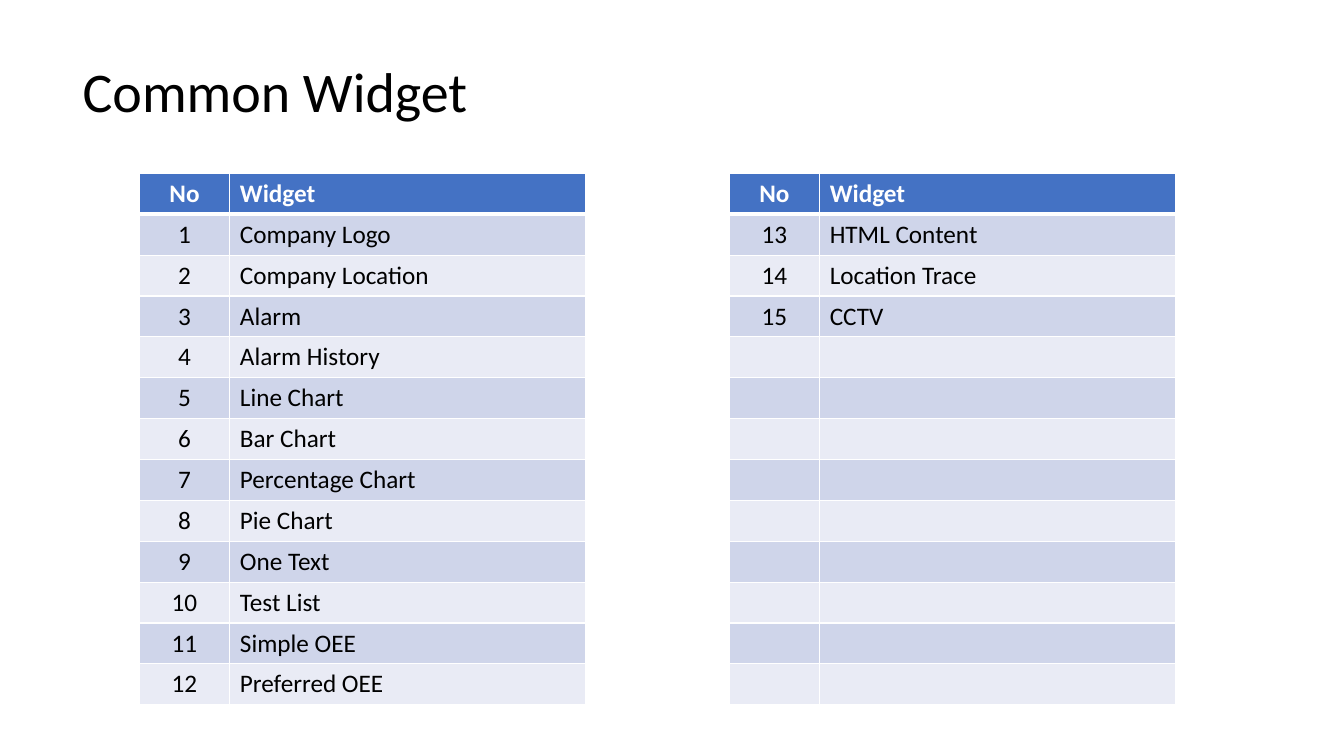
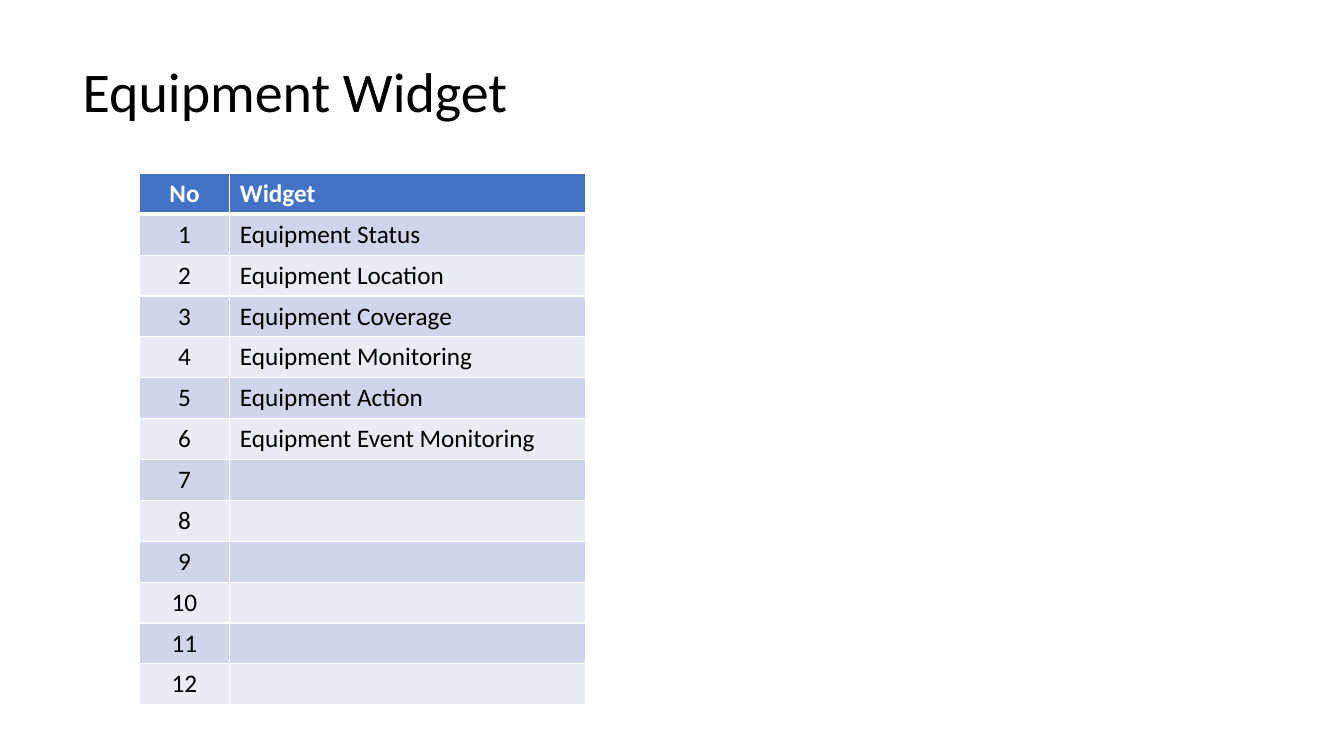
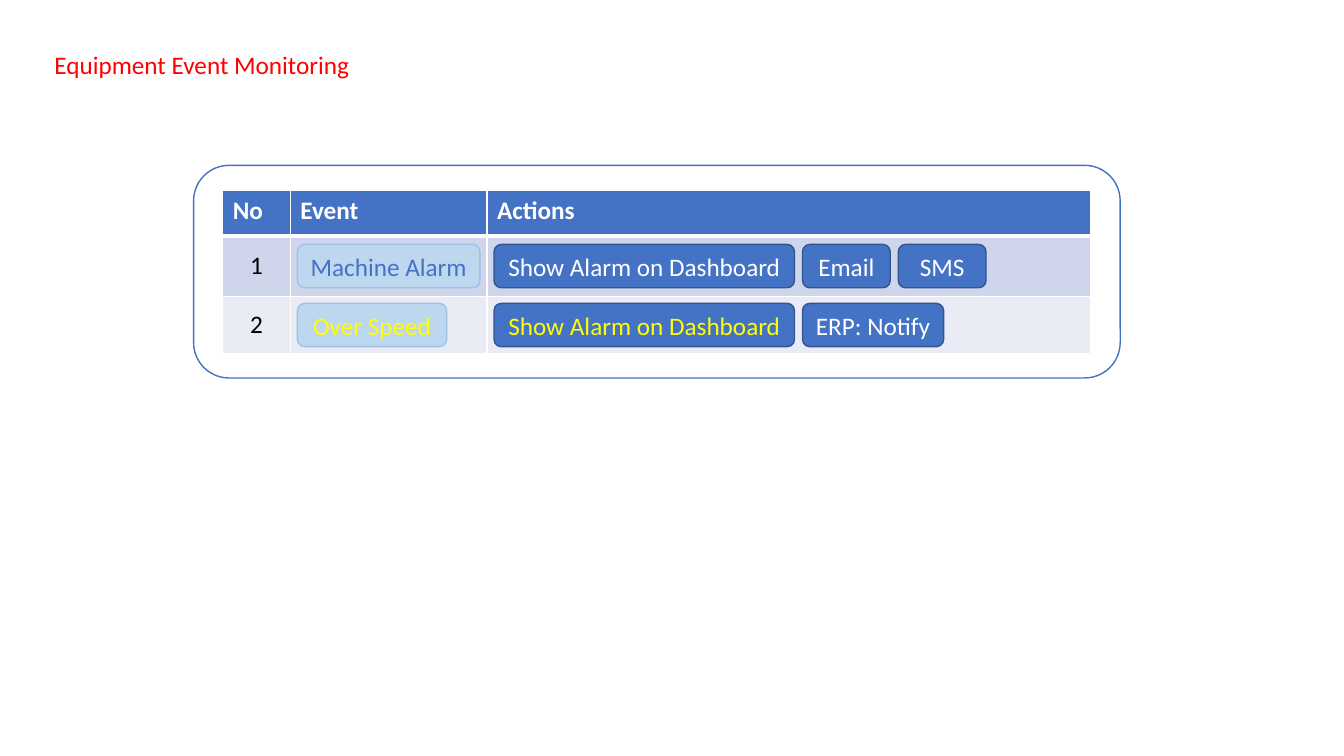
import dataclasses

import lxml.etree
import pptx
import pptx.chart.data
import pptx.dml.color
import pptx.enum.shapes
import pptx.enum.text
import pptx.oxml.ns
import pptx.util

Inches = pptx.util.Inches
ALIGN = pptx.enum.text.PP_ALIGN
ANCHOR = pptx.enum.text.MSO_ANCHOR


@dataclasses.dataclass(frozen=True)
class Theme:
    """Hold the colours, font and type sizes of the deck."""
    font: str = "Calibri"
    title: int = 40
    body: int = 18
    white: str = "FFFFFF"
    black: str = "000000"
    red: str = "FF0000"
    yellow: str = "FFFF00"
    blue: str = "4472C4"
    navy: str = "325491"
    pale: str = "BDD7EE"
    sky: str = "9DC3E6"
    bands: tuple = ("CFD5EA", "E9EBF5")
    thin: int = 1
    thick: int = 3


LOOK = Theme()


def rgb(code):
    """Turn a hex code into a colour."""
    return pptx.dml.color.RGBColor.from_string(code)


def write(frame, text, size=LOOK.body, color=LOOK.black, bold=False,
          align=ALIGN.LEFT, wrap=True):
    """Put formatted text into a text frame."""
    frame.word_wrap = wrap
    line = frame.paragraphs[0]
    line.alignment = align
    run = line.add_run()
    run.text = text
    run.font.name = LOOK.font
    run.font.size = pptx.util.Pt(size)
    run.font.bold = bold
    run.font.color.rgb = rgb(color)


def place(shape, box):
    """Move and size a shape to a box in inches."""
    shape.left, shape.top, shape.width, shape.height = map(Inches, box)


def start(deck, text, box, **style):
    """Add a slide with its title in the given box."""
    slide = deck.slides.add_slide(deck.slide_layouts[5])
    title = slide.shapes.title
    place(title, box)
    title.text_frame.auto_size = pptx.enum.text.MSO_AUTO_SIZE.NONE
    title.text_frame.vertical_anchor = ANCHOR.MIDDLE
    write(title.text_frame, text, wrap=False, **style)
    return slide


def edge(cell, **widths):
    """Draw white borders of the given widths around a cell."""
    props = cell._tc.get_or_add_tcPr()
    name = pptx.oxml.ns.qn
    for spot, side in enumerate("LRTB"):
        width = pptx.util.Pt(widths.get(side, LOOK.thin))
        line = lxml.etree.Element(name(f"a:ln{side}"), w=str(int(width)))
        fill = lxml.etree.SubElement(line, name("a:solidFill"))
        lxml.etree.SubElement(fill, name("a:srgbClr"), val=LOOK.white)
        props.insert(spot, line)


def grid(slide, box, cols, rows, cells, head=ALIGN.CENTER, anchor=ANCHOR.TOP):
    """Draw a banded table whose first column is centred."""
    frame = slide.shapes.add_table(len(rows), len(cols), *map(Inches, box))
    table = frame.table
    for col, width in zip(table.columns, cols):
        col.width = Inches(width)
    for row, height in zip(table.rows, rows):
        row.height = Inches(height)
    for r, texts in enumerate(cells):
        for c, text in enumerate(texts):
            cell = table.cell(r, c)
            cell.fill.solid()
            cell.fill.fore_color.rgb = rgb(LOOK.bands[(r - 1) % 2] if r else LOOK.blue)
            edge(cell, **{0: {"B": LOOK.thick}, 1: {"T": LOOK.thick}}.get(r, {}))
            cell.vertical_anchor = anchor if r else ANCHOR.TOP
            if text:
                first = ALIGN.CENTER if r else head
                write(cell.text_frame, text, bold=r == 0,
                      color=LOOK.black if r else LOOK.white,
                      align=ALIGN.LEFT if c else first)


def listing(slide, left, numbers, names, count=12):
    """Draw a numbered widget list, padded to a fixed row count."""
    box = (left, 1.72, 4.43, 5.27)
    pairs = [(str(n), name) for n, name in zip(numbers, names)]
    pairs += [(str(n), "") for n in numbers[len(names):]]
    pairs += [("", "")] * (count - len(pairs))
    rows = [box[3] / (count + 1)] * (count + 1)
    grid(slide, box, (0.9, 3.53), rows, [("No", "Widget")] + pairs)


def block(slide, box, fill, line):
    """Draw a flat rounded rectangle."""
    shape = slide.shapes.add_shape(
        pptx.enum.shapes.MSO_SHAPE.ROUNDED_RECTANGLE, *map(Inches, box))
    shape.shadow.inherit = False
    shape.fill.solid()
    shape.fill.fore_color.rgb = rgb(fill)
    shape.line.color.rgb = rgb(line)
    shape.line.width = pptx.util.Pt(LOOK.thin)
    return shape


def chips(slide, left, mid, items, fill, line, high=0.43, gap=0.08):
    """Lay labelled chips in a row centred on a height."""
    for text, width, color in items:
        chip = block(slide, (left, mid - high / 2, width, high), fill, line)
        chip.text_frame.vertical_anchor = ANCHOR.MIDDLE
        write(chip.text_frame, text, color=color, align=ALIGN.CENTER, wrap=False)
        left += width + gap


def events(slide, box, rules):
    """Draw the panel of events and the actions they start."""
    block(slide, box, LOOK.white, LOOK.blue)
    left, top = box[0] + 0.29, box[1] + 0.25
    cols, rows, pad = (0.67, 1.95, 5.99), (0.45, 0.6, 0.57), 0.07
    cells = [("No", "Event", "Actions")]
    cells += [(str(n), "", "") for n in range(1, len(rules) + 1)]
    grid(slide, (left, top, sum(cols), sum(rows)), cols, rows, cells,
         head=ALIGN.LEFT, anchor=ANCHOR.MIDDLE)
    for n, (event, acts) in enumerate(rules, 1):
        mid = top + sum(rows[:n]) + rows[n] / 2
        chips(slide, left + cols[0] + pad, mid, [event], LOOK.pale, LOOK.sky)
        chips(slide, left + sum(cols[:2]) + pad, mid, acts, LOOK.blue, LOOK.navy)


def main():
    """Build and save the deck."""
    deck = pptx.Presentation()
    deck.slide_width, deck.slide_height = Inches(13.33), Inches(7.5)

    slide = start(deck, "Common Widget", (0.72, 0.51, 4.06, 0.77), size=LOOK.title)
    names = ["Company Logo", "Company Location", "Alarm", "Alarm History",
             "Line Chart", "Bar Chart", "Percentage Chart", "Pie Chart",
             "One Text", "Test List", "Simple OEE", "Preferred OEE",
             "HTML Content", "Location Trace", "CCTV"]
    listing(slide, 1.38, range(1, 13), names[:12])
    listing(slide, 7.23, range(13, 16), names[12:])

    slide = start(deck, "Equipment Widget", (0.72, 0.51, 4.45, 0.77), size=LOOK.title)
    kinds = ["Status", "Location", "Coverage", "Monitoring", "Action",
             "Event Monitoring"]
    listing(slide, 1.38, range(1, 13), [f"Equipment {kind}" for kind in kinds])

    slide = start(deck, "Equipment Event Monitoring", (0.44, 0.44, 3.26, 0.4),
                  color=LOOK.red)
    show = "Show Alarm on Dashboard"
    events(slide, (1.92, 1.64, 9.19, 2.11), [
        (("Machine Alarm", 1.81, LOOK.blue),
         [(show, 2.98, LOOK.white), ("Email", 0.87, LOOK.white),
          ("SMS", 0.87, LOOK.white)]),
        (("Over Speed", 1.48, LOOK.yellow),
         [(show, 2.98, LOOK.yellow), ("ERP: Notify", 1.4, LOOK.white)]),
    ])
    deck.save("out.pptx")


if __name__ == "__main__":
    main()
